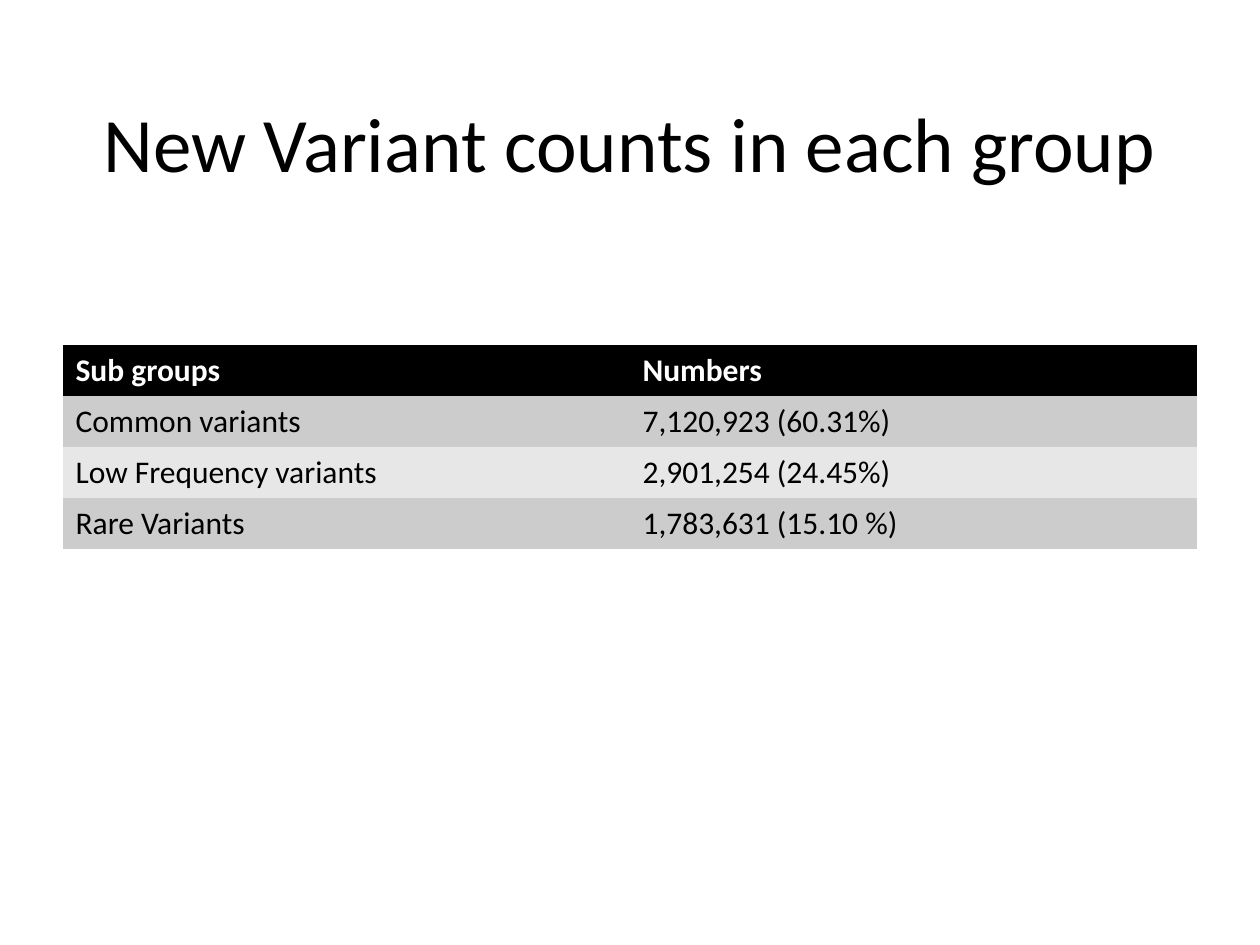
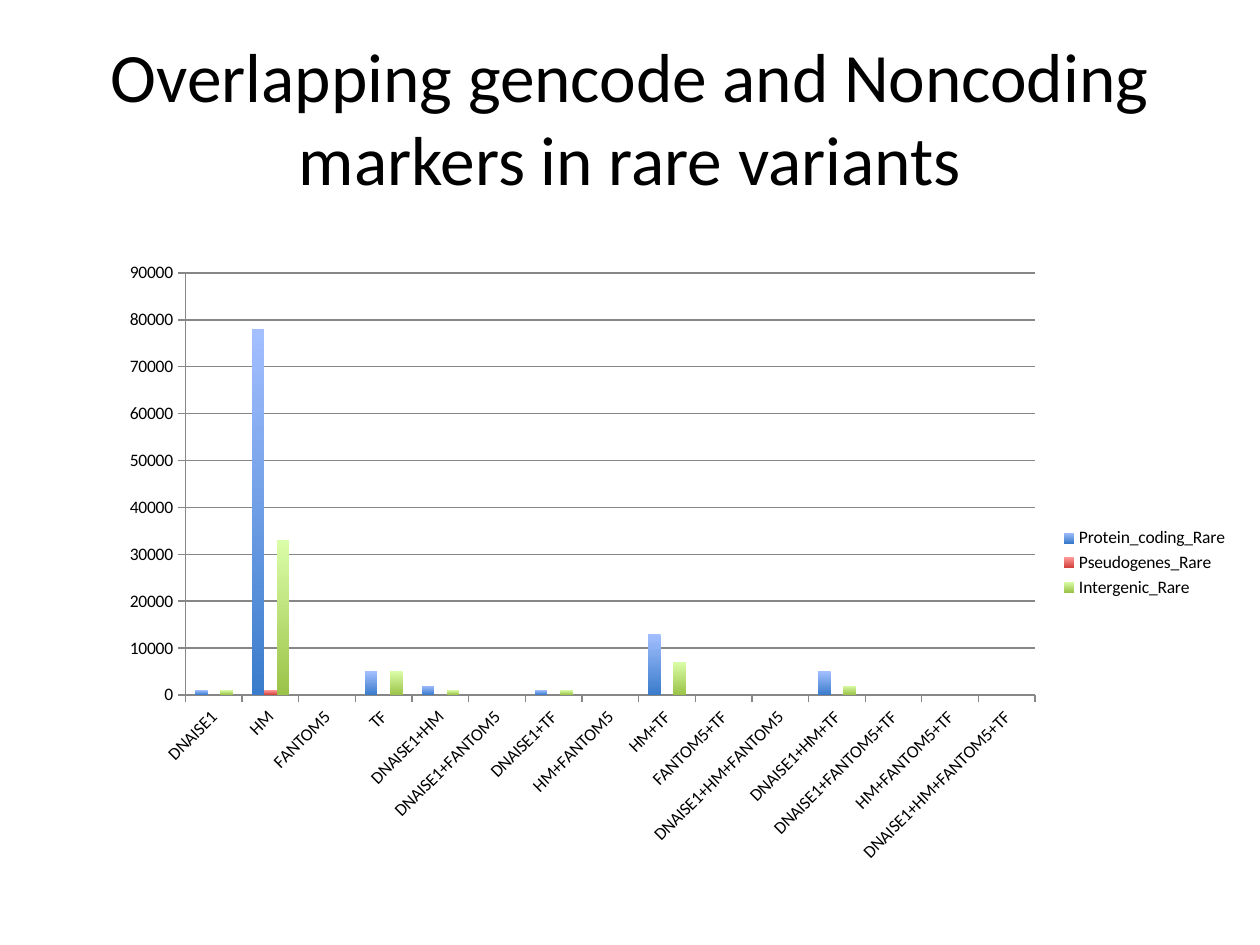
"""Build two slides on variant counts and rare-variant marker overlaps."""
from dataclasses import dataclass

from pptx import Presentation
from pptx.chart.data import CategoryChartData
from pptx.dml.color import RGBColor
from pptx.enum.chart import XL_CHART_TYPE, XL_LEGEND_POSITION, XL_TICK_MARK
from pptx.enum.text import MSO_ANCHOR, PP_ALIGN
from pptx.oxml.ns import qn
from pptx.slide import Slide
from pptx.text.text import Font
from pptx.util import Pt

FONT_NAME = "Calibri"
PLAIN_TABLE_STYLE = "{2D5ABB26-0587-4C30-8999-92F81FD0307C}"
MARGIN, CONTENT_WIDTH = 36, 648
ROW_HEIGHT = 29.2
COLORS = {
    "text": "000000",
    "header": "000000",
    "header_text": "FFFFFF",
    "odd_row": "CCCCCC",
    "even_row": "E7E7E7",
    "axis": "878787",
    "protein_top": "A3BFFF",
    "protein_bottom": "3A7CCB",
    "pseudogene_top": "FF9A99",
    "pseudogene_bottom": "D1403C",
    "intergenic_top": "DAFDA7",
    "intergenic_bottom": "9BC348",
}


@dataclass(frozen=True)
class Title:
    text: str
    top: float
    size: float


@dataclass(frozen=True)
class VariantSeries:
    name: str
    counts: tuple[int, ...]
    color: str


COUNTS_TITLE = Title("New Variant counts in each group", 36, 44)
OVERLAP_TITLE = Title(
    "Overlapping gencode and Noncoding markers in rare variants", 21.6, 39.6)
VARIANT_COUNTS = [
    ("Sub groups", "Numbers"),
    ("Common variants", "7,120,923 (60.31%)"),
    ("Low Frequency variants", "2,901,254 (24.45%)"),
    ("Rare Variants", "1,783,631 (15.10 %)"),
]
MARKERS = [
    "DNAISE1", "HM", "FANTOM5", "TF", "DNAISE1+HM", "DNAISE1+FANTOM5",
    "DNAISE1+TF", "HM+FANTOM5", "HM+TF", "FANTOM5+TF", "DNAISE1+HM+FANTOM5",
    "DNAISE1+HM+TF", "DNAISE1+FANTOM5+TF", "HM+FANTOM5+TF",
    "DNAISE1+HM+FANTOM5+TF",
]
RARE_SERIES = [
    VariantSeries(
        "Protein_coding_Rare",
        (1000, 78000, 0, 5000, 2000, 0, 1000, 0, 13000, 0, 0, 5000, 0, 0, 0),
        "protein"),
    VariantSeries(
        "Pseudogenes_Rare",
        (0, 1000, 0, 0, 0, 0, 0, 0, 0, 0, 0, 0, 0, 0, 0),
        "pseudogene"),
    VariantSeries(
        "Intergenic_Rare",
        (1000, 33000, 0, 5000, 1000, 0, 1000, 0, 7000, 0, 0, 2000, 0, 0, 0),
        "intergenic"),
]


def rgb(name: str) -> RGBColor:
    return RGBColor.from_string(COLORS[name])


def style_font(font: Font, size: float, color: str = "text", bold: bool = False) -> None:
    font.name = FONT_NAME
    font.size = Pt(size)
    font.bold = bold
    font.color.rgb = rgb(color)


def add_title(slide: Slide, title: Title) -> None:
    heading = slide.shapes.add_textbox(
        Pt(MARGIN), Pt(title.top), Pt(CONTENT_WIDTH), Pt(90))
    frame = heading.text_frame
    frame.word_wrap = True
    frame.vertical_anchor = MSO_ANCHOR.MIDDLE
    frame.text = title.text
    paragraph = frame.paragraphs[0]
    paragraph.alignment = PP_ALIGN.CENTER
    style_font(paragraph.runs[0].font, title.size)


def add_counts_table(slide: Slide, rows: list[tuple[str, str]]) -> None:
    counts = slide.shapes.add_table(
        len(rows), len(rows[0]), Pt(MARGIN), Pt(197.2),
        Pt(CONTENT_WIDTH), Pt(ROW_HEIGHT * len(rows))).table
    counts._tbl.tblPr.find(qn("a:tableStyleId")).text = PLAIN_TABLE_STYLE
    for row_index, values in enumerate(rows):
        is_header = row_index == 0
        band = "header" if is_header else "odd_row" if row_index % 2 else "even_row"
        counts.rows[row_index].height = Pt(ROW_HEIGHT)
        for column_index, value in enumerate(values):
            cell = counts.cell(row_index, column_index)
            cell.fill.solid()
            cell.fill.fore_color.rgb = rgb(band)
            cell.text_frame.text = value
            style_font(cell.text_frame.paragraphs[0].runs[0].font, 18,
                       "header_text" if is_header else "text", is_header)


def add_overlap_chart(slide: Slide, series: list[VariantSeries]) -> None:
    overlaps = CategoryChartData(number_format="General")
    overlaps.categories = MARKERS
    for entry in series:
        overlaps.add_series(entry.name, entry.counts)
    chart = slide.shapes.add_chart(
        XL_CHART_TYPE.COLUMN_CLUSTERED, Pt(61.2), Pt(143.3),
        Pt(CONTENT_WIDTH), Pt(356.4), overlaps).chart
    style_font(chart.font, 10)
    chart.has_title = False
    chart.has_legend = True
    chart.legend.position = XL_LEGEND_POSITION.RIGHT
    chart.legend.include_in_layout = False

    plot = chart.plots[0]
    plot.gap_width = 150
    plot.overlap = 0
    plot.vary_by_categories = False
    for bars, entry in zip(plot.series, series):
        fill = bars.format.fill
        fill.gradient()
        fill.gradient_angle = 270
        for stop, end in zip(fill.gradient_stops, ("top", "bottom")):
            stop.color.rgb = rgb(f"{entry.color}_{end}")

    for axis in (chart.category_axis, chart.value_axis):
        axis.major_tick_mark = XL_TICK_MARK.OUTSIDE
        axis.format.line.color.rgb = rgb("axis")
        axis.format.line.width = Pt(0.75)
        style_font(axis.tick_labels.font, 10)
    chart.category_axis._element.txPr.find(qn("a:bodyPr")).set("rot", "-2700000")
    value_axis = chart.value_axis
    value_axis.minimum_scale = 0
    value_axis.maximum_scale = 90000
    value_axis.major_unit = 10000
    value_axis.has_major_gridlines = True
    value_axis.major_gridlines.format.line.color.rgb = rgb("axis")
    value_axis.major_gridlines.format.line.width = Pt(0.75)


def main() -> None:
    presentation = Presentation()
    presentation.slide_width = Pt(720)
    presentation.slide_height = Pt(540)
    blank_layout = presentation.slide_layouts[6]

    counts_slide = presentation.slides.add_slide(blank_layout)
    add_title(counts_slide, COUNTS_TITLE)
    add_counts_table(counts_slide, VARIANT_COUNTS)

    overlap_slide = presentation.slides.add_slide(blank_layout)
    add_title(overlap_slide, OVERLAP_TITLE)
    add_overlap_chart(overlap_slide, RARE_SERIES)

    presentation.save("out.pptx")


if __name__ == "__main__":
    main()
